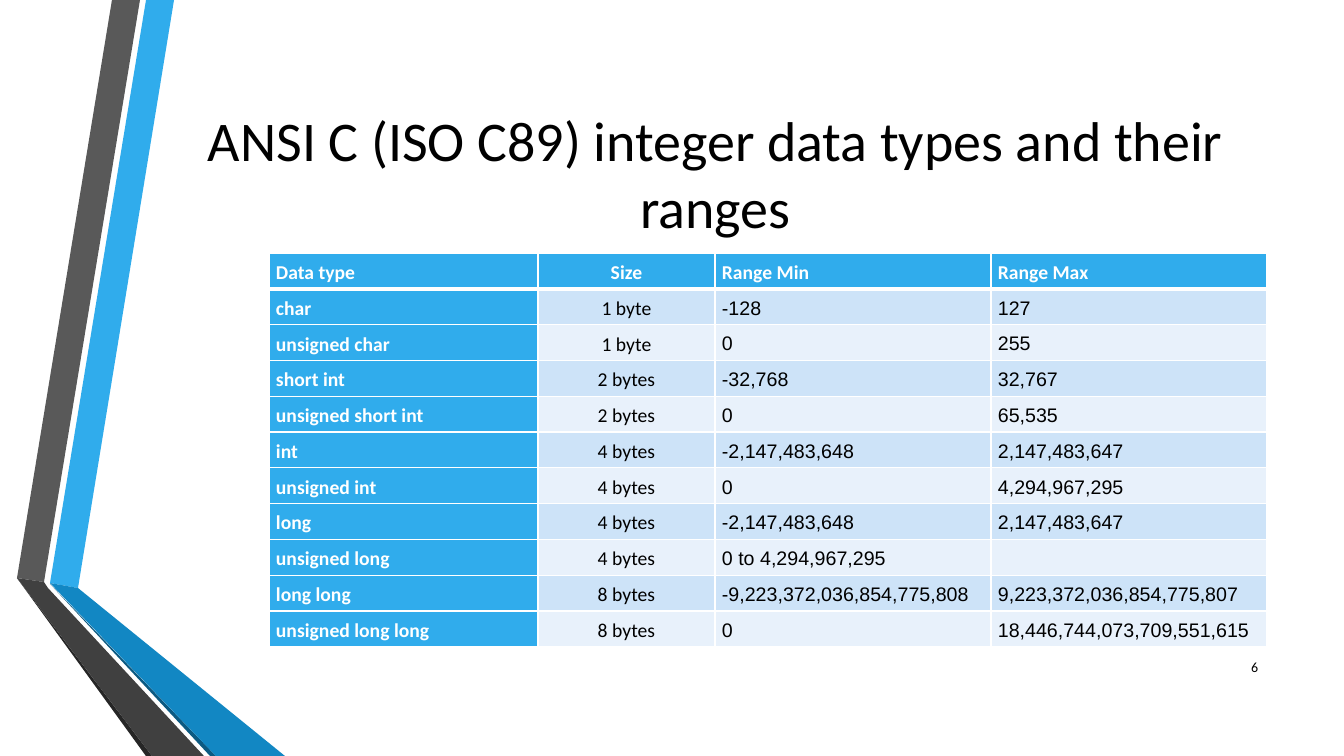
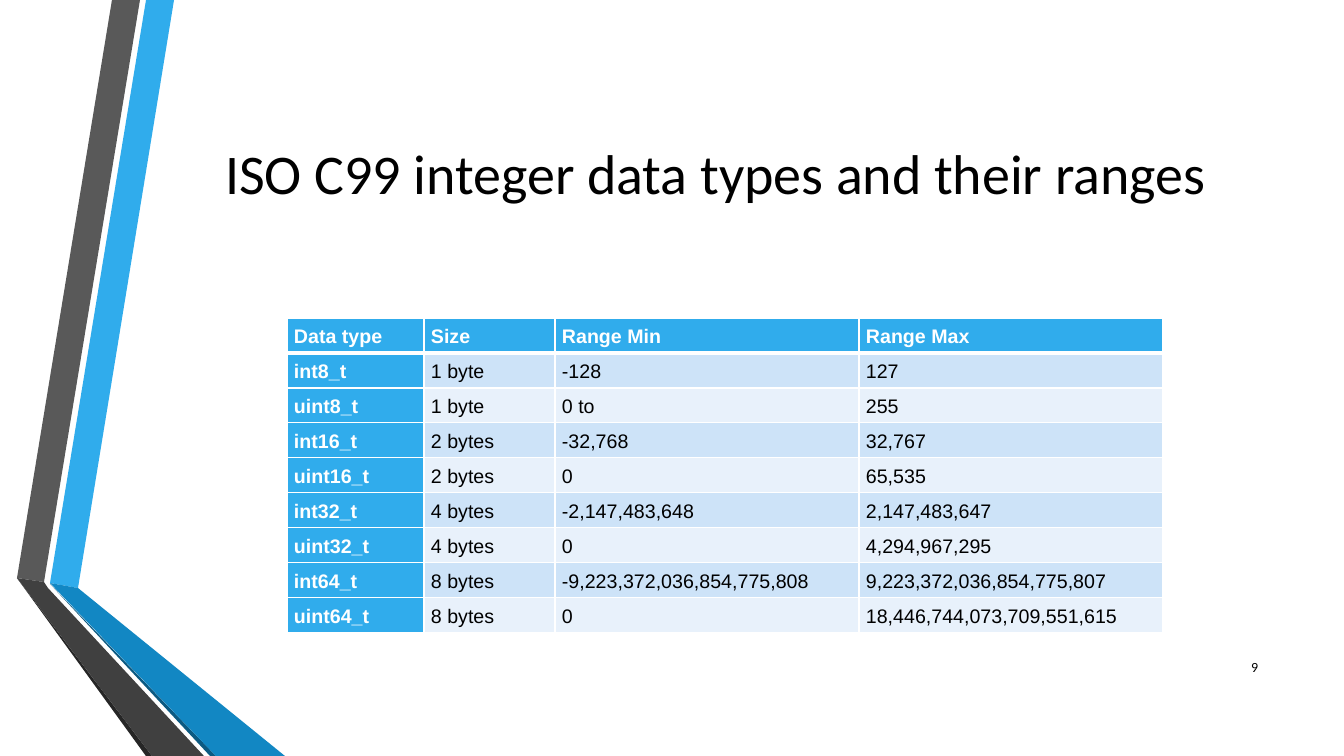
from lxml.etree import SubElement
from pptx import Presentation
from pptx.dml.color import RGBColor
from pptx.enum.text import MSO_ANCHOR, PP_ALIGN
from pptx.oxml.ns import qn
from pptx.util import Pt

PX = 914400 / 100.8
WIDE, HIGH = 1344, 756
COLORS = {
    "sky": "30ACEC", "blue": "1287C3", "navy": "0C5A82",
    "gray": "595959", "dark": "404040", "coal": "262626",
    "odd": "CDE3F8", "even": "E8F1FB", "black": "000000", "white": "FFFFFF",
}
BANDS = [
    ("sky", [(50, 583), (78, 588), (174, 0), (146, 0)]),
    ("gray", [(140, 0), (112, 0), (17, 578), (44, 582)]),
    ("coal", [(17, 578), (146, HIGH), (152, HIGH)]),
    ("navy", [(50, 584), (210, HIGH), (216, HIGH)]),
    ("blue", [(50, 583), (216, HIGH), (285, HIGH), (78, 588)]),
    ("dark", [(17, 578), (152, HIGH), (204, HIGH), (48, 588), (44, 582)]),
]
TITLE = {"size": Pt(40), "name": "Calibri"}
NUMBER = {"size": Pt(10), "name": "Calibri"}
CELL = {"margin_left": 7, "margin_right": 7, "margin_top": 0, "margin_bottom": 0}
HEAD = ("Data type", "Size", "Range Min", "Range Max")
ANSI = [
    ("char", "1 byte", "-128", "127"),
    ("unsigned char", "1 byte", "0", "255"),
    ("short int", "2 bytes", "-32,768", "32,767"),
    ("unsigned short int", "2 bytes", "0", "65,535"),
    ("int", "4 bytes", "-2,147,483,648", "2,147,483,647"),
    ("unsigned int", "4 bytes", "0", "4,294,967,295"),
    ("long", "4 bytes", "-2,147,483,648", "2,147,483,647"),
    ("unsigned long", "4 bytes", "0 to 4,294,967,295", ""),
    ("long long", "8 bytes", "-9,223,372,036,854,775,808",
     "9,223,372,036,854,775,807"),
    ("unsigned long long", "8 bytes", "0", "18,446,744,073,709,551,615"),
]
FIXED = [
    ("int8_t", "1 byte", "-128", "127"),
    ("uint8_t", "1 byte", "0 to", "255"),
    ("int16_t", "2 bytes", "-32,768", "32,767"),
    ("uint16_t", "2 bytes", "0", "65,535"),
    ("int32_t", "4 bytes", "-2,147,483,648", "2,147,483,647"),
    ("uint32_t", "4 bytes", "0", "4,294,967,295"),
    ("int64_t", "8 bytes", "-9,223,372,036,854,775,808",
     "9,223,372,036,854,775,807"),
    ("uint64_t", "8 bytes", "0", "18,446,744,073,709,551,615"),
]


def emu(px):
    """Turn pixels into EMU."""
    return round(px * PX)


def tint(name):
    """Look up a named colour."""
    return RGBColor.from_string(COLORS[name])


def apply(item, style):
    """Set each attribute in a style dict."""
    for key, value in style.items():
        setattr(item, key, value)


class Deck:
    """Holds the presentation, its style and the current slide."""

    def __init__(self):
        """Start an empty deck."""
        self.show = Presentation()
        apply(self.show, {"slide_width": emu(WIDE), "slide_height": emu(HIGH)})

    def page(self, title, number):
        """Add a slide with bands, title and number."""
        self.slide = self.show.slides.add_slide(self.show.slide_layouts[6])
        for color, points in BANDS:
            self.band(color, points)
        self.text(title, (163, 76, 1105, 193), TITLE, PP_ALIGN.CENTER)
        self.text(number, (1208, 647, 60, 40), NUMBER, PP_ALIGN.RIGHT)

    def band(self, color, points):
        """Draw one filled outline."""
        pen = self.slide.shapes.build_freeform(*points[0], scale=PX)
        pen.add_line_segments(points[1:], close=True)
        shape = pen.convert_to_shape()
        shape.shadow.inherit = False
        shape.fill.solid()
        shape.fill.fore_color.rgb = tint(color)
        shape.line.fill.background()

    def label(self, para, text, font, color, align):
        """Put one styled run in a paragraph."""
        para.alignment = align
        run = para.add_run()
        run.text = text
        apply(run.font, font)
        run.font.color.rgb = tint(color)

    def text(self, text, box, font, align):
        """Add a wrapped text box."""
        frame = self.slide.shapes.add_textbox(*map(emu, box)).text_frame
        apply(frame, {"word_wrap": True, "vertical_anchor": MSO_ANCHOR.MIDDLE})
        self.label(frame.paragraphs[0], text, font, "black", align)

    def edges(self, cell, widths):
        """Draw white cell borders: left, right, top, bottom."""
        props = cell._tc.get_or_add_tcPr()
        for spot, (side, width) in enumerate(zip("LRTB", widths)):
            line = SubElement(props, qn("a:ln" + side), w=str(Pt(width)))
            fill = SubElement(line, qn("a:solidFill"))
            SubElement(fill, qn("a:srgbClr"), val=COLORS["white"])
            props.insert(spot, line)

    def cell(self, cell, text, row, col, font, align):
        """Fill and style one table cell."""
        bold = row == 0 or col == 0
        apply(cell, {key: emu(px) for key, px in CELL.items()})
        cell.vertical_anchor = MSO_ANCHOR.MIDDLE
        cell.fill.solid()
        shade = "sky" if bold else "odd" if row % 2 else "even"
        cell.fill.fore_color.rgb = tint(shade)
        self.edges(cell, (1, 1, 3 if row == 1 else 1, 3 if row == 0 else 1))
        para = cell.text_frame.paragraphs[0]
        para.line_spacing = 1.15
        style = {"size": Pt(14), "name": font, "bold": bold}
        self.label(para, text, style, "white" if bold else "black", align)

    def table(self, spot, high, widths, rows, face, middle):
        """Add a table; face is the font of the header and first two columns."""
        rows = [HEAD, *rows]
        box = (*spot, sum(widths), high)
        grid = self.slide.shapes.add_table(
            len(rows), len(widths), *map(emu, box)).table
        apply(grid, {"first_row": False, "horz_banding": False})
        for column, width in zip(grid.columns, widths):
            column.width = emu(width)
        for r, row in enumerate(rows):
            grid.rows[r].height = emu(high / len(rows))
            for c, text in enumerate(row):
                font = face if r == 0 or c < 2 else "Arial"
                align = middle if c == 1 else PP_ALIGN.LEFT
                self.cell(grid.cell(r, c), text, r, c, font, align)


deck = Deck()
deck.page("ANSI C (ISO C89) integer data types and their ranges", "6")
deck.table((269, 253), 394, (269, 177, 276, 276), ANSI, "Calibri", PP_ALIGN.CENTER)
deck.page("ISO C99 integer data types and their ranges", "9")
deck.table((287, 318), 315, (137, 131, 304, 304), FIXED, "Arial", PP_ALIGN.LEFT)
deck.show.save("out.pptx")
